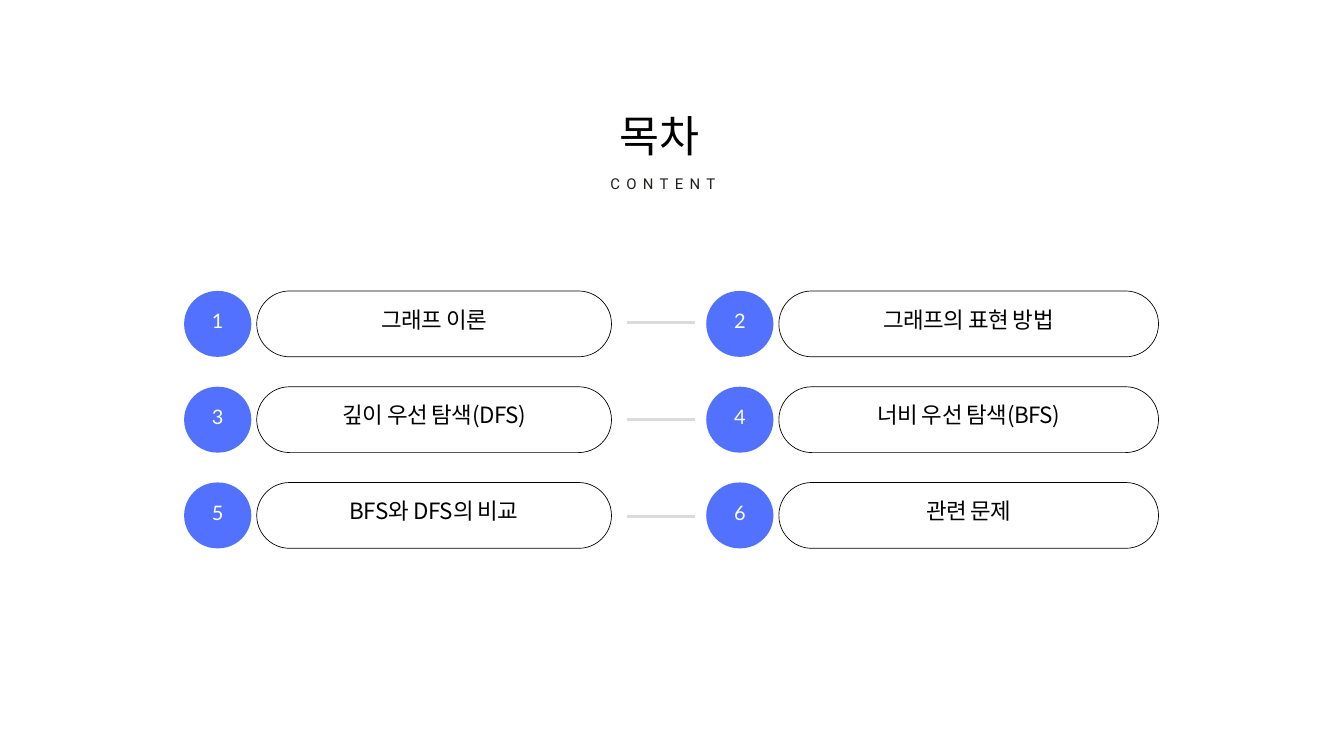
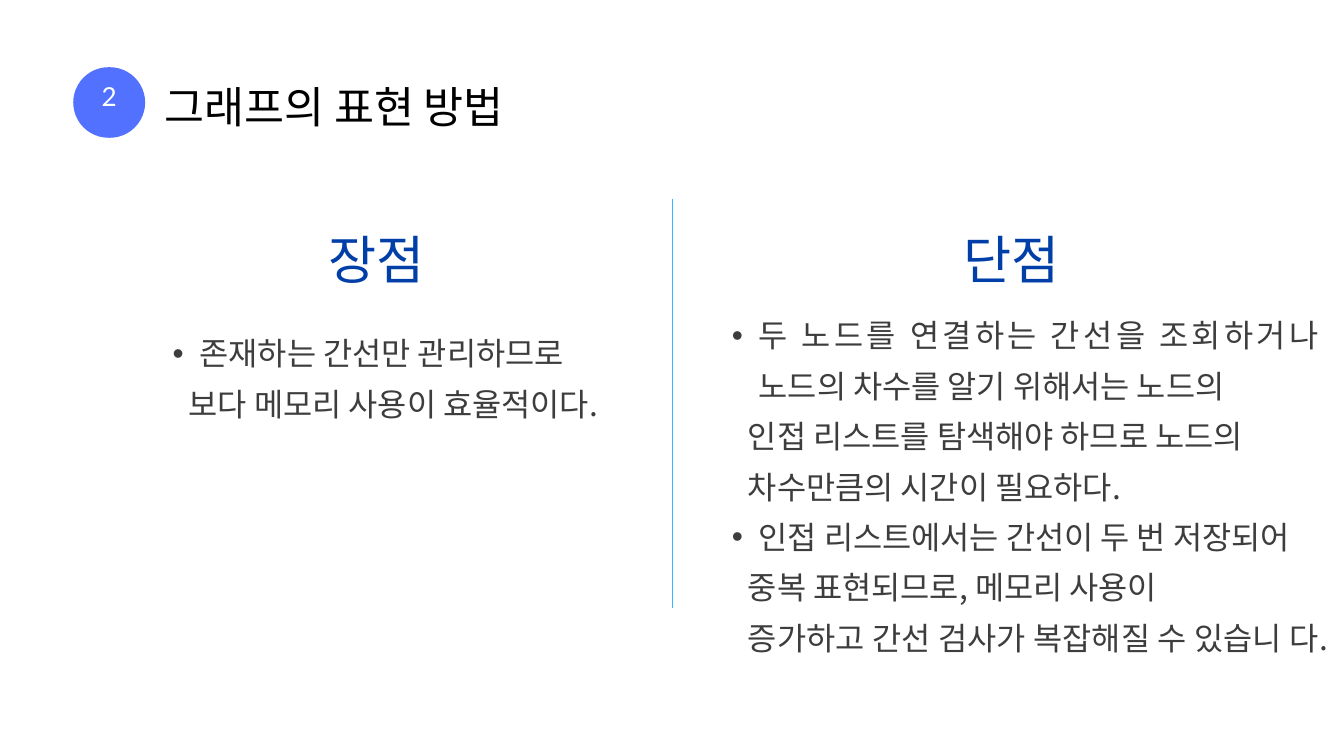
from lxml import etree
from pptx import Presentation
from pptx.dml.color import RGBColor
from pptx.enum.shapes import MSO_CONNECTOR, MSO_SHAPE
from pptx.enum.text import MSO_ANCHOR, MSO_AUTO_SIZE, PP_ALIGN
from pptx.oxml.ns import qn
from pptx.util import Inches, Pt

ROUNDED = MSO_SHAPE.ROUNDED_RECTANGLE
STRAIGHT = MSO_CONNECTOR.STRAIGHT
TOP, MIDDLE = MSO_ANCHOR.TOP, MSO_ANCHOR.MIDDLE
NO_FIT = MSO_AUTO_SIZE.NONE
LEFT, CENTER, JUSTIFY = PP_ALIGN.LEFT, PP_ALIGN.CENTER, PP_ALIGN.JUSTIFY

COLORS = {"accent": "5271FF", "white": "FFFFFF", "black": "000000", "ink": "211F1C",
          "rule": "DBDBDB", "heading": "003EA8", "body": "3D3D3D", "divider": "38B6FF"}
KOREAN = "Noto Sans CJK KR"

# Text styles: font, size, line spacing, letter spacing (1/100 pt), colour, alignment
STYLES = {
    "title": (KOREAN, 46.6, 68.5, 0, "black", LEFT),
    "subtitle": ("Roboto", 16, 23.5, 680, "ink", CENTER),
    "topic": (KOREAN, 24, 35.3, -60, "black", CENTER),
    "number": ("Lato", 21.4, 31.4, 310, "white", CENTER),
    "big number": ("Lato", 28, 41.1, 410, "white", CENTER),
    "heading": (KOREAN, 56, 71.1, 0, "heading", CENTER),
    "body": (KOREAN, 34, 54, 0, "body", JUSTIFY),
}


def write(shape, box, lines, style, anchor=TOP, inset=0):
    """Place a text shape and fill it; a line starting with • becomes a bullet."""
    font_name, size, line_spacing, tracking, color, alignment = STYLES[style]
    shape.left, shape.top, shape.width, shape.height = map(Inches, box)
    frame = shape.text_frame
    frame_format = {"word_wrap": True, "auto_size": NO_FIT, "vertical_anchor": anchor}
    for side in ("left", "top", "right", "bottom"):
        frame_format[f"margin_{side}"] = Inches(inset)
    for name, value in frame_format.items():
        setattr(frame, name, value)

    for index, line in enumerate(lines):
        paragraph = frame.paragraphs[0] if index == 0 else frame.add_paragraph()
        bulleted = line.startswith("•")
        paragraph_format = {"alignment": alignment, "line_spacing": Pt(line_spacing),
                            "space_before": Pt(0), "space_after": Pt(0),
                            "level": 1 if bulleted else 0}
        for name, value in paragraph_format.items():
            setattr(paragraph, name, value)
        properties = paragraph._p.get_or_add_pPr()
        margin, indent = (0.8, -0.4) if bulleted else (0.64 if style == "body" else 0, 0)
        properties.set("marL", str(Inches(margin)))
        properties.set("indent", str(Inches(indent)))
        if bulleted:
            etree.SubElement(properties, qn("a:buChar"), char="•")
        else:
            etree.SubElement(properties, qn("a:buNone"))

        run = paragraph.add_run()
        run.text = line.removeprefix("•")
        for name, value in {"name": font_name, "size": Pt(size), "bold": False}.items():
            setattr(run.font, name, value)
        run.font.color.rgb = RGBColor.from_string(COLORS[color])
        run_properties = run._r.get_or_add_rPr()
        run_properties.set("spc", str(tracking))
        etree.SubElement(run_properties, qn("a:ea"), typeface=font_name)


def add_pill(slide, box, fill, text, style, lift):
    """Draw a fully rounded shape with its text raised above the middle."""
    left, top, width, height = box
    pill = slide.shapes.add_shape(ROUNDED, *map(Inches, box))
    pill.adjustments[0] = 0.5
    pill.shadow.inherit = False
    pill.fill.solid()
    pill.fill.fore_color.rgb = RGBColor.from_string(COLORS[fill])
    if fill == "white":
        pill.line.color.rgb = RGBColor.from_string(COLORS["black"])
        pill.line.width = Pt(0.75)
    else:
        pill.line.fill.background()
    label = slide.shapes.add_textbox(0, 0, 0, 0)
    write(label, (left, top - lift, width, height + lift), [text], style, MIDDLE, 0.04)


presentation = Presentation()
presentation.slide_width = Inches(20)
presentation.slide_height = Inches(11.25)

# Slide 1: table of contents
contents = presentation.slides.add_slide(presentation.slide_layouts[5])
write(contents.shapes.title, (9.22, 1.44, 1.6, 0.92), ["목차"], "title")
write(contents.shapes.add_textbox(0, 0, 0, 0), (7.67, 2.54, 4.39, 0.32),
      ["CONTENT"], "subtitle")

topics = ["그래프 이론", "그래프의 표현 방법", "깊이 우선 탐색(DFS)",
          "너비 우선 탐색(BFS)", "BFS와 DFS의 비교", "관련 문제"]
columns = [(2.74, 5.28), (10.51, 5.65)]
for index, topic in enumerate(topics):
    row, column = divmod(index, 2)
    left, topic_width = columns[column]
    top = 4.33 + 1.425 * row
    add_pill(contents, (left + 1.08, top, topic_width, 0.98), "white", topic, "topic", 0.23)
    add_pill(contents, (left, top, 1, 0.98), "accent", str(index + 1), "number", 0.17)

# Slide 2: advantages and disadvantages
comparison = presentation.slides.add_slide(presentation.slide_layouts[4])
add_pill(comparison, (1.09, 1, 1.07, 1.05), "accent", "2", "big number", 0.29)
write(comparison.shapes.title, (2.45, 1.01, 5.47, 0.92), [topics[1]], "title")

sides = [
    (1, (3.27, 3.33, 4.66, 0.98), "장점", (2.17, 4.79, 6.98, 1.47), [
        "•존재하는 간선만 관리하므로",
        "보다 메모리 사용이 효율적이다."]),
    (3, (12.72, 3.33, 4.66, 0.98), "단점", (10.49, 4.52, 9.14, 5.22), [
        "•두 노드를 연결하는 간선을 조회하거나 노드의 차수를 알기 위해서는 노드의",
        "인접 리스트를 탐색해야 하므로 노드의",
        "차수만큼의 시간이 필요하다.",
        "•인접 리스트에서는 간선이 두 번 저장되어",
        "중복 표현되므로, 메모리 사용이",
        "증가하고 간선 검사가 복잡해질 수 있습니 다."]),
]
for placeholder, heading_box, heading, body_box, points in sides:
    write(comparison.placeholders[placeholder], heading_box, [heading], "heading")
    write(comparison.placeholders[placeholder + 1], body_box, points, "body")

# Rules between the topics, and the divider between the two sides
rules = [(contents, (9.33, y, 10.34, y), "rule", 3) for y in (4.8, 6.24, 7.69)]
rules.append((comparison, (10.01, 9.05, 10.01, 2.96), "divider", 1.5))
for slide, ends, color, width in rules:
    rule = slide.shapes.add_connector(STRAIGHT, *map(Inches, ends))
    rule.line.color.rgb = RGBColor.from_string(COLORS[color])
    rule.line.width = Pt(width)
    etree.SubElement(rule._element.spPr, qn("a:effectLst"))

presentation.save("out.pptx")
